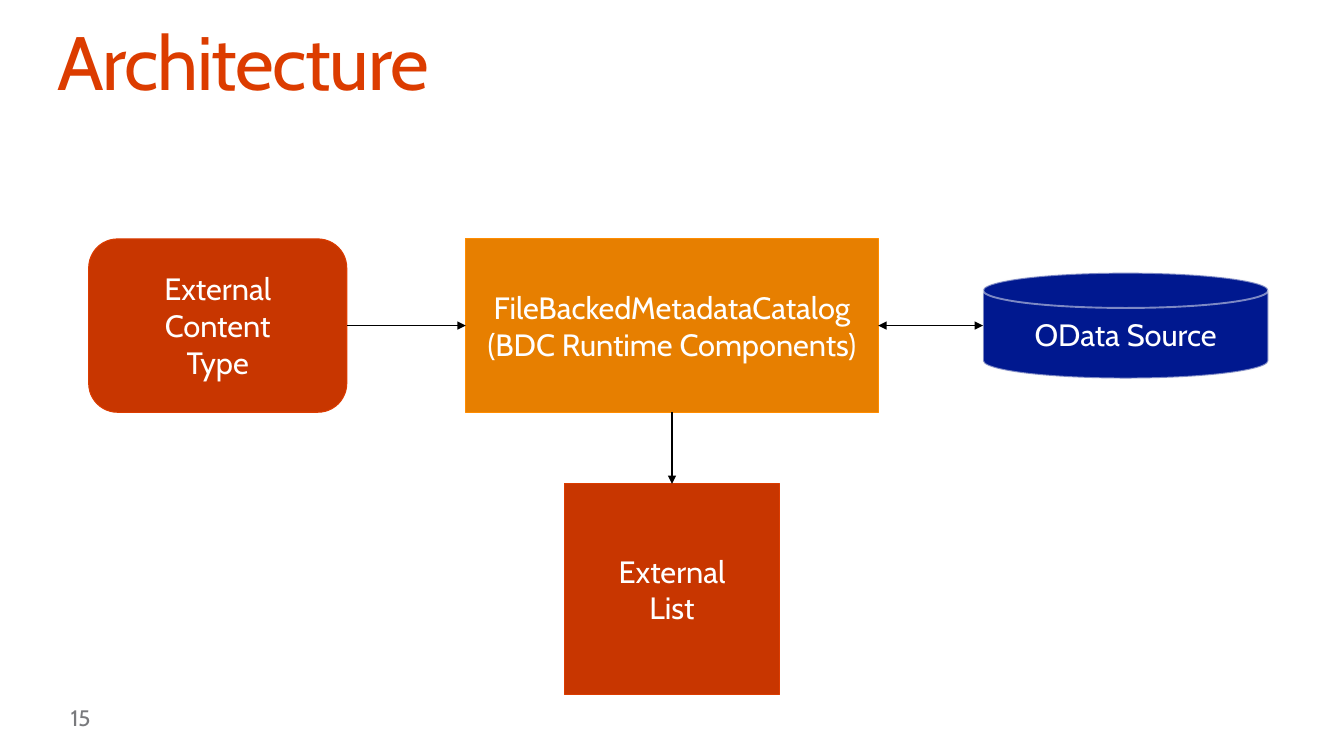
from lxml import etree
from pptx import Presentation
from pptx.dml.color import RGBColor
from pptx.enum.shapes import MSO_CONNECTOR, MSO_SHAPE
from pptx.enum.text import MSO_ANCHOR, PP_ALIGN
from pptx.oxml.ns import qn
from pptx.util import Inches, Pt

STRAIGHT = MSO_CONNECTOR.STRAIGHT
RECTANGLE = MSO_SHAPE.RECTANGLE
ROUNDED = MSO_SHAPE.FLOWCHART_ALTERNATE_PROCESS
DISK = MSO_SHAPE.FLOWCHART_MAGNETIC_DISK
TOP, MIDDLE = MSO_ANCHOR.TOP, MSO_ANCHOR.MIDDLE
LEFT, CENTER = PP_ALIGN.LEFT, PP_ALIGN.CENTER
SIDE_TOP, SIDE_LEFT, SIDE_BOTTOM, SIDE_RIGHT = range(4)

FONT = "Cabin"
RED, RED_EDGE = "C83600", "DC3C00"
ORANGE, ORANGE_EDGE = "E77F00", "FF8C00"
BLUE, PALE = "00188F", "F9F9F9"
WHITE, BLACK, GREY = "FFFFFF", "000000", "797A7D"


def color(value):
    return RGBColor.from_string(value)


def write(box, text, size=22, ink=WHITE, align=CENTER, anchor=MIDDLE,
          inset=(0.05, 0.05), line_spacing=None, tracking=None):
    """Fill a shape with one paragraph; \\v marks a line break."""
    frame = box.text_frame
    frame.word_wrap = True
    frame.vertical_anchor = anchor
    frame.margin_left = frame.margin_right = Inches(inset[0])
    frame.margin_top = frame.margin_bottom = Inches(inset[1])
    para = frame.paragraphs[0]
    para.text = text
    para.alignment = align
    if line_spacing:
        para.line_spacing = line_spacing
    for span in para.runs:
        span.font.name = FONT
        span.font.size = Pt(size)
        span.font.color.rgb = color(ink)
        if tracking:
            span.font._element.set("spc", str(tracking))


def add_node(page, kind, box, text, fill, edge, width=0.75, opacity=None):
    node = page.shapes.add_shape(kind, *map(Inches, box))
    node.shadow.inherit = False
    node.fill.solid()
    node.fill.fore_color.rgb = color(fill)
    node.line.color.rgb = color(edge)
    node.line.width = Pt(width)
    if opacity:
        edge_color = node.line._ln.find(".//" + qn("a:srgbClr"))
        etree.SubElement(edge_color, qn("a:alpha"), val=str(opacity * 1000))
    write(node, text)
    return node


def add_arrow(page, start, end, ends=("tailEnd",)):
    arrow = page.shapes.add_connector(STRAIGHT, *map(Inches, start + end))
    arrow.line.color.rgb = color(BLACK)
    arrow.line.width = Pt(0.75)
    for name in ends:
        etree.SubElement(arrow.line._ln, qn("a:" + name), type="triangle")
    etree.SubElement(arrow._element.spPr, qn("a:effectLst"))
    return arrow


def add_heading(page, box, text):
    title = page.shapes.title
    title.left, title.top, title.width, title.height = map(Inches, box)
    write(title, text, size=54, ink=RED_EDGE, align=LEFT, anchor=TOP,
          inset=(0, 0), line_spacing=0.9, tracking=-100)


def add_page_number(page, box, text):
    number = page.shapes.add_textbox(*map(Inches, box))
    write(number, text, size=16, ink=GREY, align=LEFT, inset=(0.13, 0.07))


def add_diagram(page, box):
    left, top, width, height = box
    row = 1.72
    middle = top + row / 2
    catalog_left, catalog_width = left + 3.74, 4.09
    catalog_right = catalog_left + catalog_width
    center = catalog_left + catalog_width / 2
    type_width, list_width, list_height = 2.56, 2.14, 2.09
    list_top = top + height - list_height
    disk_width, disk_height = 2.83, 1.05
    disk_left = left + width - disk_width

    # Nodes
    add_node(page, DISK, (disk_left, middle - disk_height / 2, disk_width, disk_height),
             "OData Source", BLUE, PALE, width=1.35, opacity=50)
    catalog = add_node(page, RECTANGLE, (catalog_left, top, catalog_width, row),
                       "FileBackedMetadataCatalog\v(BDC Runtime Components)",
                       ORANGE, ORANGE_EDGE)
    content_type = add_node(page, ROUNDED, (left, top, type_width, row),
                            "External\vContent\vType", RED, RED_EDGE)
    external_list = add_node(
        page, RECTANGLE, (center - list_width / 2, list_top, list_width, list_height),
        "External\vList", RED, RED_EDGE)

    # Arrows
    into_catalog = add_arrow(page, (left + type_width, middle), (catalog_left, middle))
    into_catalog.begin_connect(content_type, SIDE_RIGHT)
    into_catalog.end_connect(catalog, SIDE_LEFT)
    into_list = add_arrow(page, (center, top + row), (center, list_top))
    into_list.begin_connect(catalog, SIDE_BOTTOM)
    into_list.end_connect(external_list, SIDE_TOP)
    both_ways = add_arrow(page, (catalog_right, middle), (disk_left, middle),
                          ends=("headEnd", "tailEnd"))
    both_ways.begin_connect(catalog, SIDE_RIGHT)


def main():
    deck = Presentation()
    deck.slide_width, deck.slide_height = Inches(13.33), Inches(7.5)
    page = deck.slides.add_slide(deck.slide_layouts[5])
    add_heading(page, (0.57, 0.25, 12.19, 0.82), "Architecture")
    add_page_number(page, (0.57, 7, 0.61, 0.24), "15")
    add_diagram(page, (0.88, 2.37, 11.7, 4.52))
    deck.save("out.pptx")


if __name__ == "__main__":
    main()
